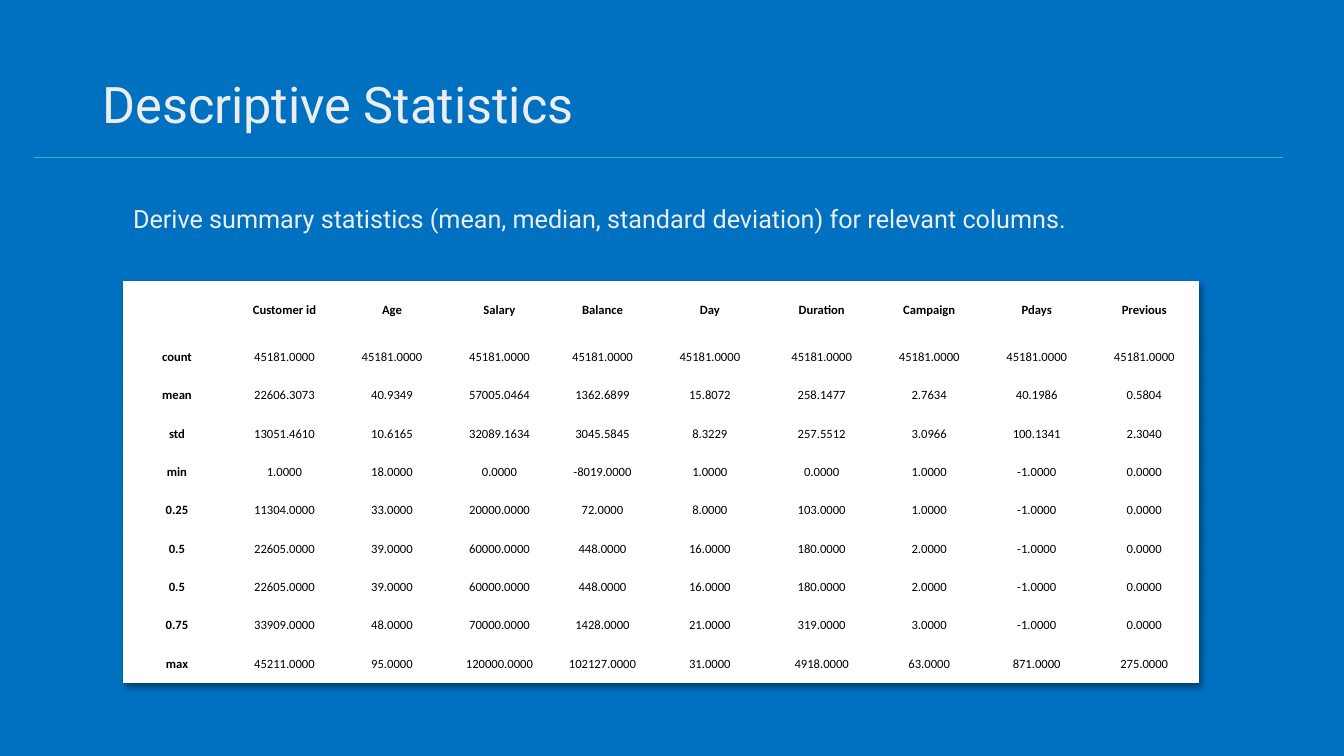
import pptx
import pptx.dml.color
import pptx.enum.shapes
import pptx.enum.text
import pptx.oxml
import pptx.oxml.ns
import pptx.util

Pt = pptx.util.Pt
ANCHOR = pptx.enum.text.MSO_ANCHOR
COLORS = {
    "background": "0070C0",
    "text_start": "BFBFBF",
    "text_middle": "EDEDED",
    "text_end": "FFFFFF",
    "cell": "FFFFFF",
    "cell_text": "000000",
    "shadow": "000000",
    "rule": "41AEBD",
}
HEADINGS = ["", "Customer id", "Age", "Salary", "Balance", "Day",
            "Duration", "Campaign", "Pdays", "Previous"]
MEDIAN = ["0.5", "22605", "39", "60000", "448", "16", "180", "2", "-1", "0"]
STATISTICS = [
    ["count"] + ["45181"] * 9,
    ["mean", "22606.3073", "40.9349", "57005.0464", "1362.6899", "15.8072",
     "258.1477", "2.7634", "40.1986", "0.5804"],
    ["std", "13051.4610", "10.6165", "32089.1634", "3045.5845", "8.3229",
     "257.5512", "3.0966", "100.1341", "2.3040"],
    ["min", "1", "18", "0", "-8019", "1", "0", "1", "-1", "0"],
    ["0.25", "11304", "33", "20000", "72", "8", "103", "1", "-1", "0"],
    MEDIAN,
    MEDIAN,
    ["0.75", "33909", "48", "70000", "1428", "21", "319", "3", "-1", "0"],
    ["max", "45211", "95", "120000", "102127", "31", "4918", "63", "871", "275"],
]
COLUMN_WIDTHS = [76.8] * 4 + [70.4, 83] + [76.8] * 4
ROW_HEIGHTS = [39.8] + [27.4] * len(STATISTICS)


def rgb(name):
    return pptx.dml.color.RGBColor.from_string(COLORS[name])


def xml(tag, content, attributes=""):
    namespace = pptx.oxml.ns.nsdecls("a")
    return pptx.oxml.parse_xml(f"<a:{tag} {namespace} {attributes}>{content}</a:{tag}>")


def add_text(slide, left, top, width, height, text, size, middle_stop, anchor):
    """Add a line of text with a three-stop gradient colour."""
    frame = slide.shapes.add_textbox(Pt(left), Pt(top), Pt(width), Pt(height)).text_frame
    frame.word_wrap = True
    frame.vertical_anchor = anchor
    paragraph = frame.paragraphs[0]
    paragraph.line_spacing = 0.9
    run = paragraph.add_run()
    run.text = text
    run.font.size = Pt(size)
    run.font.name = "Roboto"
    stops = [(0, "text_start"), (middle_stop, "text_middle"), (100, "text_end")]
    content = "".join(
        f'<a:gs pos="{position * 1000}"><a:srgbClr val="{COLORS[name]}"/></a:gs>'
        for position, name in stops)
    gradient = xml("gradFill", f'<a:gsLst>{content}</a:gsLst><a:lin ang="4800000" scaled="0"/>')
    run._r.get_or_add_rPr().insert(0, gradient)


def set_borders(cell, bottom_width):
    properties = cell._tc.get_or_add_tcPr()
    fill = f'<a:solidFill><a:srgbClr val="{COLORS["cell"]}"/></a:solidFill>'
    widths = {"lnL": 1, "lnR": 1, "lnT": 1, "lnB": bottom_width}
    for index, (side, width) in enumerate(widths.items()):
        properties.insert(index, xml(side, fill, f'w="{Pt(width)}"'))


def fill_cell(cell, text, bold, bottom_width):
    cell.fill.solid()
    cell.fill.fore_color.rgb = rgb("cell")
    cell.vertical_anchor = ANCHOR.MIDDLE
    cell.margin_left = cell.margin_right = cell.margin_top = Pt(0.5)
    cell.margin_bottom = Pt(0)
    set_borders(cell, bottom_width)
    if not text:
        return
    paragraph = cell.text_frame.paragraphs[0]
    paragraph.alignment = pptx.enum.text.PP_ALIGN.CENTER
    run = paragraph.add_run()
    run.text = text
    run.font.size = Pt(9)
    run.font.name = "Calibri"
    run.font.bold = bold
    run.font.color.rgb = rgb("cell_text")


def add_statistics_table(slide, left, top):
    frame = slide.shapes.add_table(
        len(ROW_HEIGHTS), len(COLUMN_WIDTHS), Pt(left), Pt(top),
        Pt(sum(COLUMN_WIDTHS)), Pt(sum(ROW_HEIGHTS)))
    table = frame.table
    table.horz_banding = False
    for column, width in zip(table.columns, COLUMN_WIDTHS):
        column.width = Pt(width)
    for row, height in zip(table.rows, ROW_HEIGHTS):
        row.height = Pt(height)

    for row_index, values in enumerate([HEADINGS] + STATISTICS):
        for column_index, value in enumerate(values):
            is_label = row_index == 0 or column_index == 0
            text = value if is_label or "." in value else f"{value}.0000"
            fill_cell(table.cell(row_index, column_index), text, is_label,
                      3 if row_index == 0 else 1)

    # Soft shadow to the lower right
    shadow = (f'<a:outerShdw blurRad="{Pt(4)}" dist="{Pt(3)}" dir="2700000" algn="tl" '
              f'rotWithShape="0"><a:srgbClr val="{COLORS["shadow"]}">'
              '<a:alpha val="40000"/></a:srgbClr></a:outerShdw>')
    table._tbl.tblPr.insert(0, xml("effectLst", shadow))


def add_rule(slide, left, right, y):
    rule = slide.shapes.add_connector(
        pptx.enum.shapes.MSO_CONNECTOR.STRAIGHT, Pt(left), Pt(y), Pt(right), Pt(y))
    rule.line.color.rgb = rgb("rule")
    rule.line.width = Pt(0.5)
    rule._element.spPr.append(xml("effectLst", ""))


def main():
    presentation = pptx.Presentation()
    presentation.slide_width = Pt(960)
    presentation.slide_height = Pt(540)
    slide = presentation.slides.add_slide(presentation.slide_layouts[6])
    slide.background.fill.solid()
    slide.background.fill.fore_color.rgb = rgb("background")

    # Title and the rule below it
    add_text(slide, 66, 24, 828, 104.4, "Descriptive Statistics", 36, 28, ANCHOR.MIDDLE)
    add_rule(slide, 24, 916.5, 112.5)

    # Task and results
    add_text(slide, 88, 144, 805.5, 35.5,
             "Derive summary statistics (mean, median, standard deviation) "
             "for relevant columns.", 18, 34, ANCHOR.TOP)
    add_statistics_table(slide, 88, 201.5)

    presentation.save("out.pptx")


if __name__ == "__main__":
    main()
